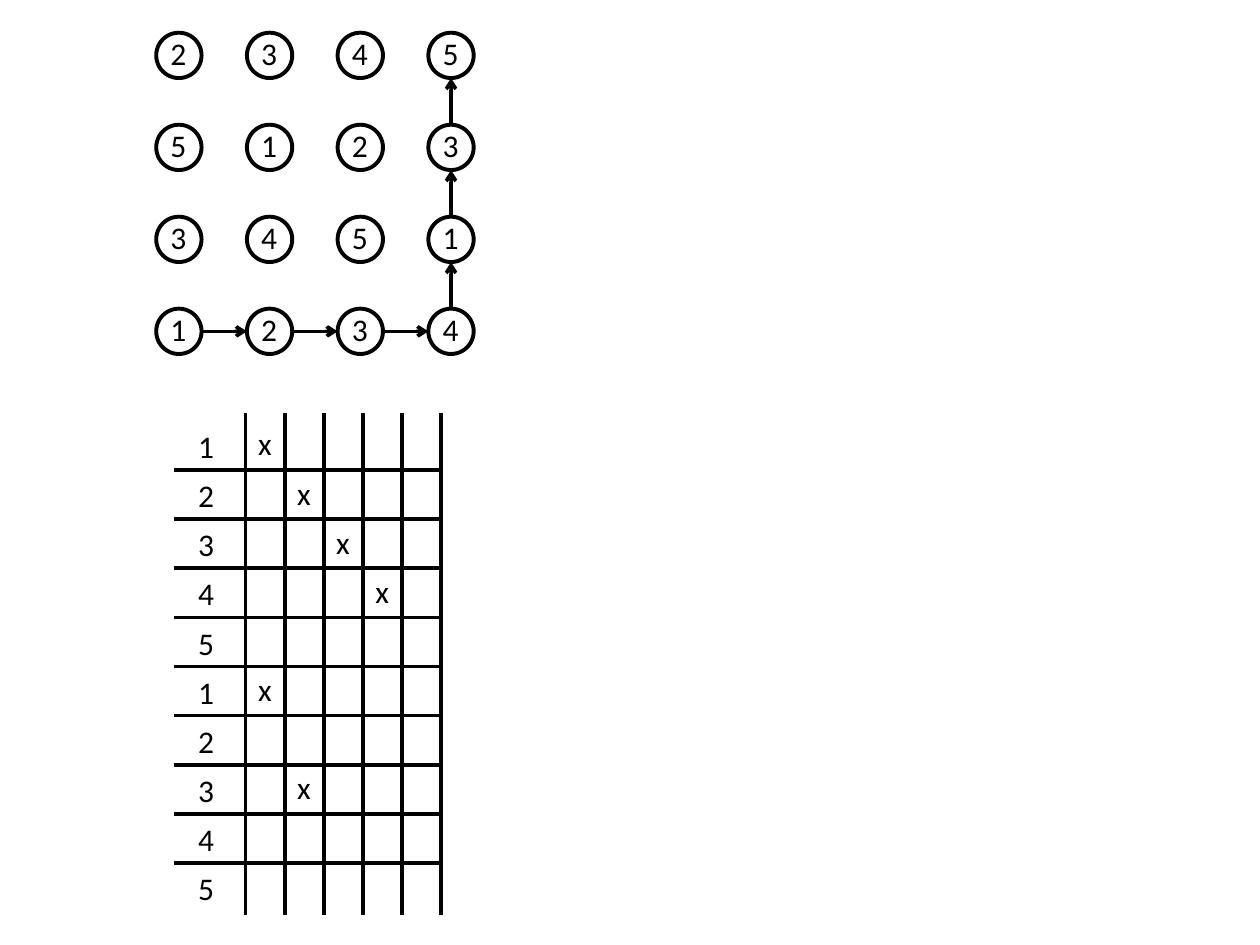
from dataclasses import dataclass
from itertools import pairwise

from lxml.etree import SubElement
from pptx import Presentation
from pptx.dml.color import RGBColor
from pptx.enum.shapes import MSO_CONNECTOR, MSO_SHAPE
from pptx.enum.text import MSO_AUTO_SIZE
from pptx.oxml.ns import qn
from pptx.util import Inches, Pt


@dataclass(frozen=True)
class Theme:
    ink: RGBColor = RGBColor(0, 0, 0)
    paper: RGBColor = RGBColor(255, 255, 255)
    font: str = "Calibri"
    size: Pt = Pt(18)
    ring: Pt = Pt(2.25)
    rule: Pt = Pt(2)


@dataclass(frozen=True)
class Grid:
    left: float
    top: float
    wide: float
    high: float

    def at(self, col, row):
        return self.left + col * self.wide, self.top + row * self.high


THEME = Theme()
NODES = Grid(1.42, 0.44, 0.72, 0.73)
TABLE = Grid(1.95, 3.34, 0.31, 0.39)
DISC = 0.36
LABEL = 0.33, 0.4
MARK = 0.31, 0.4
BOARD = ["2345", "5123", "3451", "1234"]
ROUTE = [(0, 3), (1, 3), (2, 3), (3, 3), (3, 2), (3, 1), (3, 0)]
ROWS = "1234512345"
COLS = 5
MARKS = [(0, 0), (1, 1), (2, 2), (3, 3), (0, 5), (1, 7)]
EDGE = 1.38
ENDS = 3.28, 7.26


def style(item, **vals):
    for name, val in vals.items():
        setattr(item, name, val)


def label(slide, text, mid, size):
    spot = [m - s / 2 for m, s in zip(mid, size)]
    frame = slide.shapes.add_textbox(*map(Inches, (*spot, *size))).text_frame
    style(frame, word_wrap=False, auto_size=MSO_AUTO_SIZE.SHAPE_TO_FIT_TEXT)
    run = frame.paragraphs[0].add_run()
    run.text = text
    style(run.font, name=THEME.font, size=THEME.size)
    run.font.color.rgb = THEME.ink


def node(slide, text, mid):
    spot = [m - DISC / 2 for m in mid]
    disc = slide.shapes.add_shape(
        MSO_SHAPE.OVAL, *map(Inches, (*spot, DISC, DISC)))
    disc.shadow.inherit = False
    disc.fill.solid()
    disc.fill.fore_color.rgb = THEME.paper
    disc.line.width = THEME.ring
    disc.line.color.rgb = THEME.ink
    label(slide, text, (mid[0], mid[1] - 0.02), LABEL)


def line(slide, start, end):
    rule = slide.shapes.add_connector(
        MSO_CONNECTOR.STRAIGHT, *map(Inches, (*start, *end)))
    rule.line.width = THEME.rule
    rule.line.color.rgb = THEME.ink
    SubElement(rule._element.spPr, qn("a:effectLst"))
    return rule


def arrow(slide, first, last):
    step = [(b - a) * DISC / 2 for a, b in zip(first, last)]
    start = [m + s for m, s in zip(NODES.at(*first), step)]
    end = [m - s for m, s in zip(NODES.at(*last), step)]
    rule = line(slide, start, end)
    SubElement(rule.line._get_or_add_ln(), qn("a:tailEnd"), type="arrow")


def graph(slide):
    for row, nums in enumerate(BOARD):
        for col, num in enumerate(nums):
            node(slide, num, NODES.at(col, row))
    for first, last in pairwise(ROUTE):
        arrow(slide, first, last)


def table(slide):
    for col in range(COLS + 1):
        x, _ = TABLE.at(col, 0)
        line(slide, (x, ENDS[0]), (x, ENDS[1]))
    for row, num in enumerate(ROWS):
        right, y = TABLE.at(COLS, row)
        label(slide, num, (1.64, y + 0.2), LABEL)
        if row:
            line(slide, (EDGE, y), (right, y))
    for col, row in MARKS:
        label(slide, "x", TABLE.at(col + 0.5, row + 0.46), MARK)


def main():
    deck = Presentation()
    style(deck, slide_width=Inches(10), slide_height=Inches(7.5))
    slide = deck.slides.add_slide(deck.slide_layouts[6])
    graph(slide)
    table(slide)
    deck.save("out.pptx")


if __name__ == "__main__":
    main()
